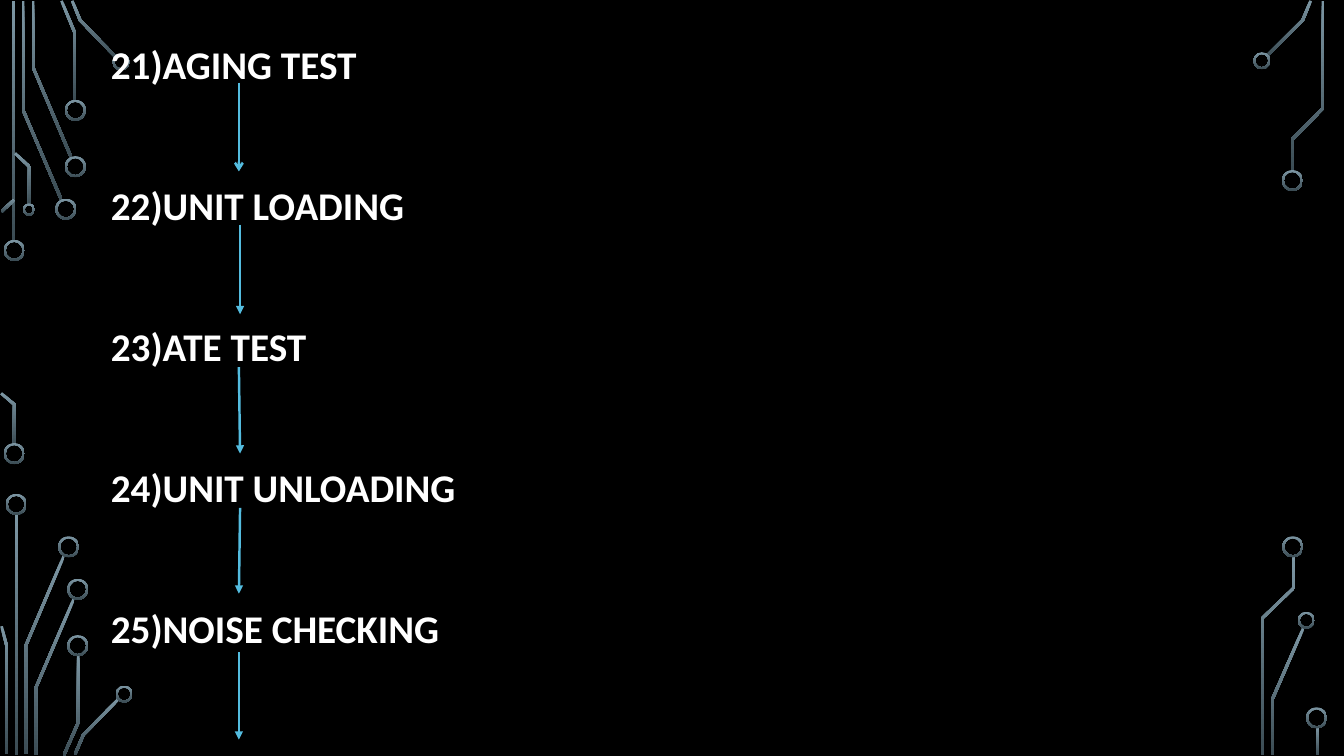
from math import hypot

from pptx import Presentation
from pptx.dml.color import RGBColor
from pptx.enum.shapes import MSO_CONNECTOR, MSO_SHAPE
from pptx.enum.text import MSO_ANCHOR, MSO_AUTO_SIZE, PP_ALIGN
from pptx.oxml.ns import qn
from pptx.util import Cm, Pt
from lxml.etree import SubElement


def color(hex_text):
    return RGBColor.from_string(hex_text)


def trace_outline(centres, half_width=0.035):
    """Return the outline of a line of constant width with mitred corners."""
    normals = []
    for (x1, y1), (x2, y2) in zip(centres, centres[1:]):
        length = hypot(x2 - x1, y2 - y1)
        normals.append(((y1 - y2) / length, (x2 - x1) / length))
    left, right = [], []
    for (x, y), before, after in zip(centres, normals[:1] + normals, normals + normals[-1:]):
        stretch = half_width / (1 + before[0] * after[0] + before[1] * after[1])
        dx, dy = (before[0] + after[0]) * stretch, (before[1] + after[1]) * stretch
        left.append((Cm(x + dx), Cm(y + dy)))
        right.append((Cm(x - dx), Cm(y - dy)))
    return left + right[::-1]


presentation = Presentation()
presentation.slide_width, presentation.slide_height = Cm(33.87), Cm(19.05)
slide = presentation.slides.add_slide(presentation.slide_layouts[1])
slide.background.fill.solid()
slide.background.fill.fore_color.rgb = color("000000")
title, body = slide.placeholders
title.element.getparent().remove(title.element)

# Circuit traces: centre lines in centimetres
traces = [
    # top left
    [(0.34, 0.03), (0.34, 6.1)],
    [(0.58, 0.03), (0.58, 2.77), (1.55, 5.04)],
    [(0.83, 0.03), (0.83, 1.69), (1.8, 3.98)],
    [(1.55, 0.02), (1.89, 0.84), (1.89, 2.54)],
    [(1.82, 0.02), (2.02, 0.51), (2.93, 1.45)],
    [(0.04, 5.33), (0.36, 5.03)],
    [(0.38, 3.86), (0.74, 4.2), (0.74, 5.16)],
    [(0.03, 9.91), (0.36, 10.19), (0.36, 11.2)],
    # bottom left
    [(0.42, 12.95), (0.42, 19.02)],
    [(0.65, 19), (0.65, 16.27), (1.61, 14.01)],
    [(0.17, 19), (0.17, 16.28), (0.04, 15.78)],
    [(0.9, 19.02), (0.9, 17.34), (1.87, 15.07)],
    [(1.61, 19.03), (1.97, 18.21), (1.97, 16.51)],
    [(1.89, 19.01), (2.1, 18.52), (3, 17.6)],
    # top right
    [(31.93, 1.41), (32.83, 0.51), (33.03, 0.02)],
    [(32.56, 4.29), (32.56, 3.52), (33.34, 2.73), (33.34, 0.03)],
    # bottom right
    [(32.07, 19.02), (32.07, 17.61), (32.84, 15.84)],
    [(31.81, 19.02), (31.81, 15.58), (32.6, 14.82), (32.6, 14.02)],
    [(33.21, 18.31), (33.21, 19.02)],
]
circuit_shapes = []
for trace in traces:
    outline = trace_outline(trace)
    builder = slide.shapes.build_freeform(*outline[0])
    builder.add_line_segments(outline[1:], close=True)
    circuit_shapes.append(builder.convert_to_shape())

# Circuit pads: ring centres by diameter, in centimetres
pads = {
    0.53: [(0.36, 6.31), (0.36, 11.43), (1.66, 5.27), (1.9, 4.2), (1.9, 2.78),
           (0.41, 12.71), (1.73, 13.78), (1.96, 14.85), (1.96, 16.27),
           (32.57, 4.55), (32.58, 13.78), (33.18, 18.09)],
    0.43: [(3.05, 1.56), (3.13, 17.49), (31.8, 1.53), (32.92, 15.63)],
    0.31: [(0.73, 5.28)],
}
for diameter, centres in pads.items():
    for x, y in centres:
        ring = slide.shapes.add_shape(
            MSO_SHAPE.DONUT, Cm(x - diameter / 2), Cm(y - diameter / 2),
            Cm(diameter), Cm(diameter))
        ring.adjustments[0] = 0.05 / diameter
        circuit_shapes.append(ring)

# Shared gradient of the circuit
for shape in circuit_shapes:
    shape.shadow.inherit = False
    shape.line.fill.background()
    shape.fill.gradient()
    shape.fill.gradient_angle = 270
    for stop, position, shade in zip(shape.fill.gradient_stops, (0, 1), ("7C96A3", "3B4C54")):
        stop.position = position
        stop.color.rgb = color(shade)

# Process steps, in front of the circuit
slide.shapes.element.append(body.element)
body.left, body.top, body.width, body.height = Cm(2.54), Cm(0.66), Cm(28.78), Cm(18.39)
text_frame = body.text_frame
frame_format = {"word_wrap": True, "auto_size": MSO_AUTO_SIZE.NONE,
                "vertical_anchor": MSO_ANCHOR.TOP}
for name, value in frame_format.items():
    setattr(text_frame, name, value)

steps = ["AGING TEST", "UNIT LOADING", "ATE TEST", "UNIT UNLOADING", "NOISE CHECKING"]
text_frame.text = "\n".join(f"{number}){step}" for number, step in enumerate(steps, 21))
paragraph_format = {"alignment": PP_ALIGN.LEFT, "line_spacing": 1.2, "space_before": Pt(60.3)}
font_format = {"name": "Calibri", "size": Pt(28), "bold": True}
for paragraph in text_frame.paragraphs:
    for name, value in paragraph_format.items():
        setattr(paragraph, name, value)
    for name, value in font_format.items():
        setattr(paragraph.runs[0].font, name, value)
    paragraph.runs[0].font.color.rgb = color("FFFFFF")
    properties = paragraph._p.get_or_add_pPr()
    properties.set("marL", "0")
    properties.set("indent", "0")
    SubElement(properties, qn("a:buNone"))
text_frame.paragraphs[0].space_before = Pt(10.6)

# Arrows below the steps: start x, start y, end x, end y, head
arrows = [
    (6.02, 2.08, 6.02, 4.32, "arrow"),
    (6.05, 5.66, 6.05, 7.92, "triangle"),
    (6.02, 9.25, 6.05, 11.43, "triangle"),
    (6.05, 12.8, 6.02, 14.96, "triangle"),
    (6.02, 16.43, 6.02, 18.64, "triangle"),
]
for *ends, head in arrows:
    arrow = slide.shapes.add_connector(MSO_CONNECTOR.STRAIGHT, *[Cm(end) for end in ends])
    arrow.line.width = Pt(1.75)
    arrow.line.color.rgb = color("54BCDF")
    SubElement(arrow.line._get_or_add_ln(), qn("a:tailEnd"), type=head)
    SubElement(arrow.element.spPr, qn("a:effectLst"))

presentation.save("out.pptx")
